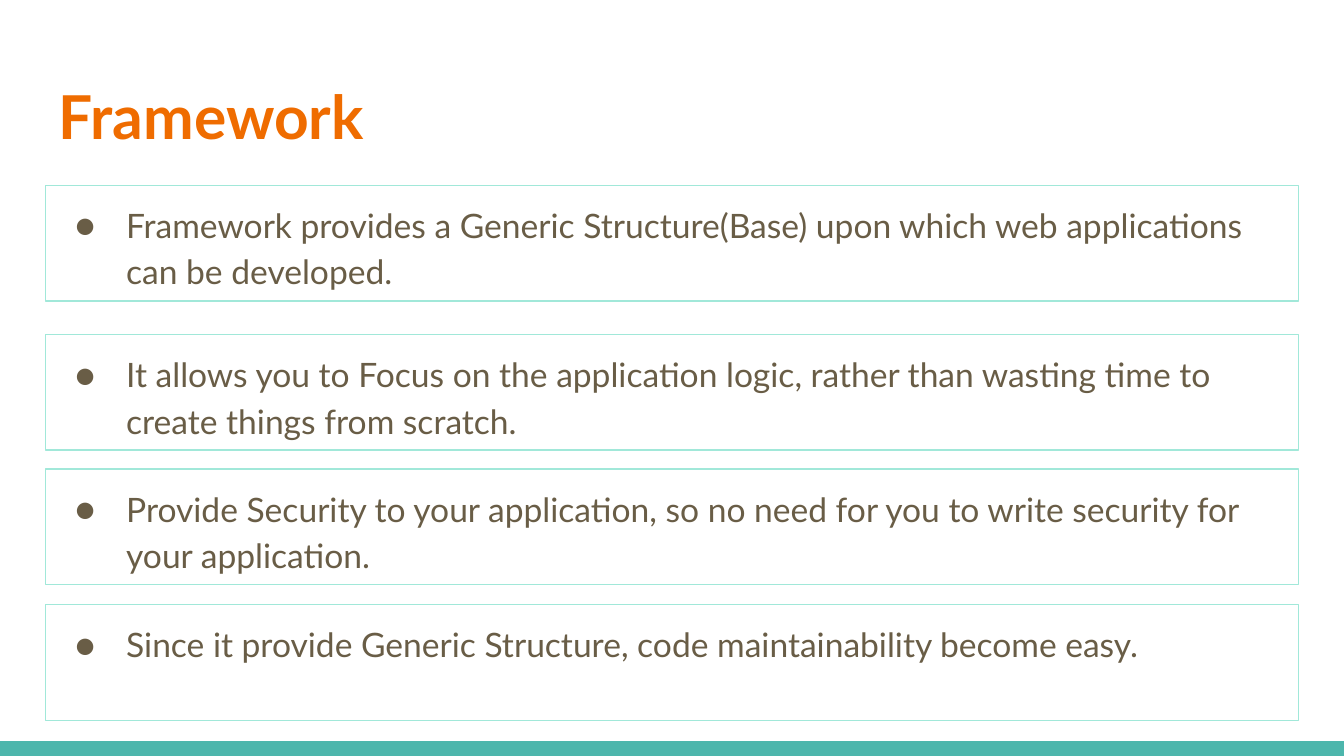
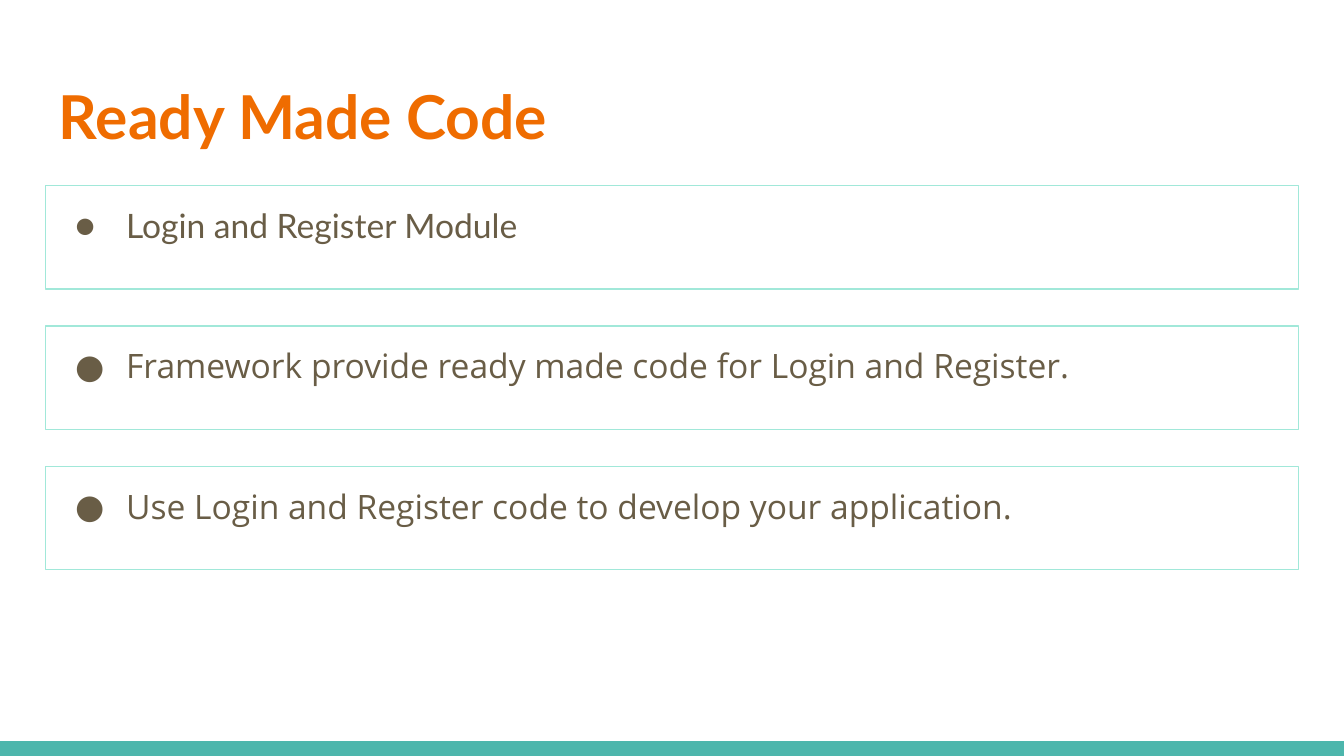
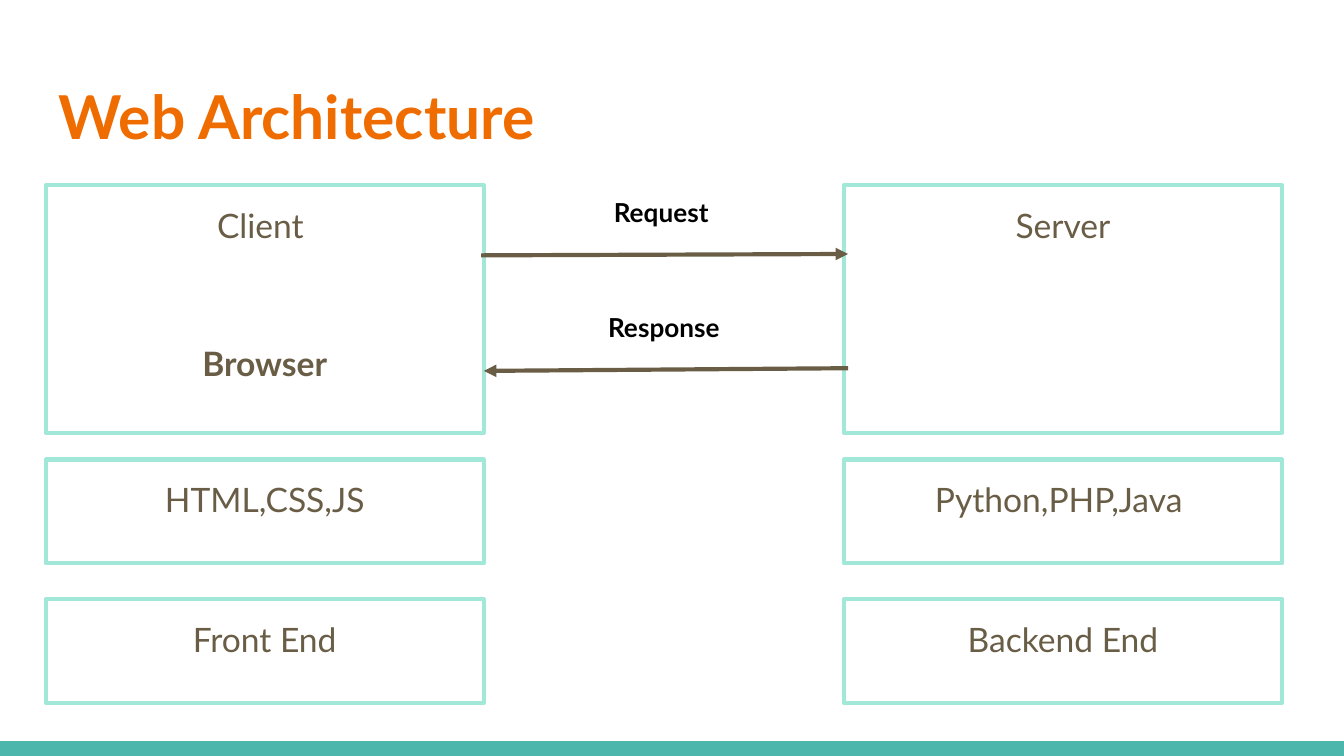
from lxml import etree
from pptx import Presentation
from pptx.dml.color import RGBColor
from pptx.enum.shapes import MSO_CONNECTOR, MSO_SHAPE
from pptx.enum.text import PP_ALIGN
from pptx.oxml.ns import qn
from pptx.util import Inches, Pt

RECTANGLE = MSO_SHAPE.RECTANGLE
STRAIGHT = MSO_CONNECTOR.STRAIGHT
LEFT, CENTER = PP_ALIGN.LEFT, PP_ALIGN.CENTER

ORANGE = RGBColor(0xEF, 0x6C, 0x00)
TEAL = RGBColor(0x4D, 0xB6, 0xAC)
MINT = RGBColor(0xA1, 0xE8, 0xD9)
BROWN = RGBColor(0x69, 0x5D, 0x46)
BLACK = RGBColor(0x00, 0x00, 0x00)
WHITE = RGBColor(0xFF, 0xFF, 0xFF)

LATO, OPEN_SANS = "Lato", "Open Sans"
PAGE_WIDTH = 10
PAGE_HEIGHT = PAGE_WIDTH * 9 / 16
MARGIN = 0.34
CONTENT_WIDTH = PAGE_WIDTH - 2 * MARGIN
CONTENT_TOP = 1.38
BAND_HEIGHT = 0.11
ROW_HEIGHT = 0.77


def prepare_frame(box):
    frame = box.text_frame
    frame.word_wrap = True
    frame.vertical_anchor = None
    frame.margin_left = frame.margin_right = Inches(0.1)
    frame.margin_top = frame.margin_bottom = Inches(0.1)
    return frame


def write(para, text, size=18, font=LATO, color=BROWN, bold=False,
          align=LEFT, line_spacing=1.15, before=0):
    para.alignment = align
    para.line_spacing = line_spacing
    para.space_before = Pt(before)
    span = para.add_run()
    span.text = text
    span.font.size = Pt(size)
    span.font.name = font
    span.font.color.rgb = color
    span.font.bold = bold


def add_bullet(para, font):
    """Give the paragraph a hanging round bullet in the text colour."""
    properties = para._p.get_or_add_pPr()
    properties.set("marL", str(Inches(0.5)))
    properties.set("indent", str(Inches(-0.38)))
    color = etree.SubElement(properties, qn("a:buClr"))
    etree.SubElement(color, qn("a:srgbClr"), val=str(BROWN))
    etree.SubElement(properties, qn("a:buFont"), typeface=font)
    etree.SubElement(properties, qn("a:buChar"), char="●")


def add_label(page, text, left, top, width, height, **style):
    box = page.shapes.add_textbox(Inches(left), Inches(top), Inches(width), Inches(height))
    write(prepare_frame(box).paragraphs[0], text, line_spacing=1.0, **style)


def add_frame(page, left, top, width, height, line_width):
    """Draw an unfilled mint rectangle and return its text frame."""
    box = page.shapes.add_shape(RECTANGLE, Inches(left), Inches(top),
                                Inches(width), Inches(height))
    box.shadow.inherit = False
    box.fill.background()
    box.line.color.rgb = MINT
    box.line.width = Pt(line_width)
    return prepare_frame(box)


def add_bullet_box(page, text, top, height, font=LATO):
    frame = add_frame(page, MARGIN, top, CONTENT_WIDTH, height, line_width=0.75)
    para = frame.paragraphs[0]
    write(para, text, font=font)
    add_bullet(para, font)


def add_arrow(page, start, end):
    arrow = page.shapes.add_connector(STRAIGHT, *(Inches(value) for value in start + end))
    arrow.line.color.rgb = BROWN
    arrow.line.width = Pt(2.25)
    etree.SubElement(arrow.line._get_or_add_ln(), qn("a:tailEnd"), type="triangle")
    etree.SubElement(arrow._element.spPr, qn("a:effectLst"))


def add_page(deck, title):
    """Add a page with the shared background, footer band and title."""
    page = deck.slides.add_slide(deck.slide_layouts[6])
    page.background.fill.solid()
    page.background.fill.fore_color.rgb = WHITE
    band = page.shapes.add_shape(RECTANGLE, 0, Inches(PAGE_HEIGHT - BAND_HEIGHT),
                                 Inches(PAGE_WIDTH), Inches(BAND_HEIGHT))
    band.shadow.inherit = False
    band.fill.solid()
    band.fill.fore_color.rgb = TEAL
    band.line.fill.background()
    add_label(page, title, MARGIN, 0.49, CONTENT_WIDTH, 0.77,
              size=32.4, color=ORANGE, bold=True)
    return page


def build_framework(deck):
    page = add_page(deck, "Framework")
    benefits = [
        (CONTENT_TOP, "Framework provides a Generic Structure(Base) upon which "
                      "web applications can be developed."),
        (2.49, "It allows you to Focus on the application logic, rather than "
               "wasting time to create things from scratch."),
        (3.49, "Provide Security to your application, so no need for you to "
               "write security for your application."),
        (4.5, "Since it provide Generic Structure, code maintainability become easy."),
    ]
    for top, text in benefits:
        add_bullet_box(page, text, top, height=0.86)


def build_ready_made_code(deck):
    page = add_page(deck, "Ready Made Code")
    points = [
        ("Login and Register Module", LATO),
        ("Framework provide ready made code for Login and Register.", OPEN_SANS),
        ("Use Login and Register code to develop your application.", OPEN_SANS),
    ]
    last_top = 3.47
    step = (last_top - CONTENT_TOP) / (len(points) - 1)
    for index, (text, font) in enumerate(points):
        add_bullet_box(page, text, CONTENT_TOP + index * step, ROW_HEIGHT, font)


def build_web_architecture(deck):
    page = add_page(deck, "Web Architecture")
    rows = [(CONTENT_TOP, 1.84), (3.42, ROW_HEIGHT), (4.46, ROW_HEIGHT)]
    columns = [
        (MARGIN, ["Client ", "HTML,CSS,JS", "Front End"]),
        (6.28, ["Server", "Python,PHP,Java ", "Backend End"]),
    ]
    for left, texts in columns:
        for (top, height), text in zip(rows, texts):
            frame = add_frame(page, left, top, 3.26, height, line_width=2.25)
            write(frame.paragraphs[0], text, align=CENTER)
            if text == "Client ":
                write(frame.add_paragraph(), "Browser", bold=True, align=CENTER, before=49)

    messages = [
        ("Request", 3.86, 1.36, (3.58, 1.9), (6.31, 1.89)),
        ("Response", 3.88, 2.22, (6.31, 2.74), (3.6, 2.76)),
    ]
    for text, left, top, start, end in messages:
        add_arrow(page, start, end)
        add_label(page, text, left, top, 2.12, 0.44, size=14, color=BLACK,
                  bold=True, align=CENTER)


def main():
    deck = Presentation()
    deck.slide_width = Inches(PAGE_WIDTH)
    deck.slide_height = Inches(PAGE_HEIGHT)
    build_framework(deck)
    build_ready_made_code(deck)
    build_web_architecture(deck)
    deck.save("out.pptx")


if __name__ == "__main__":
    main()
